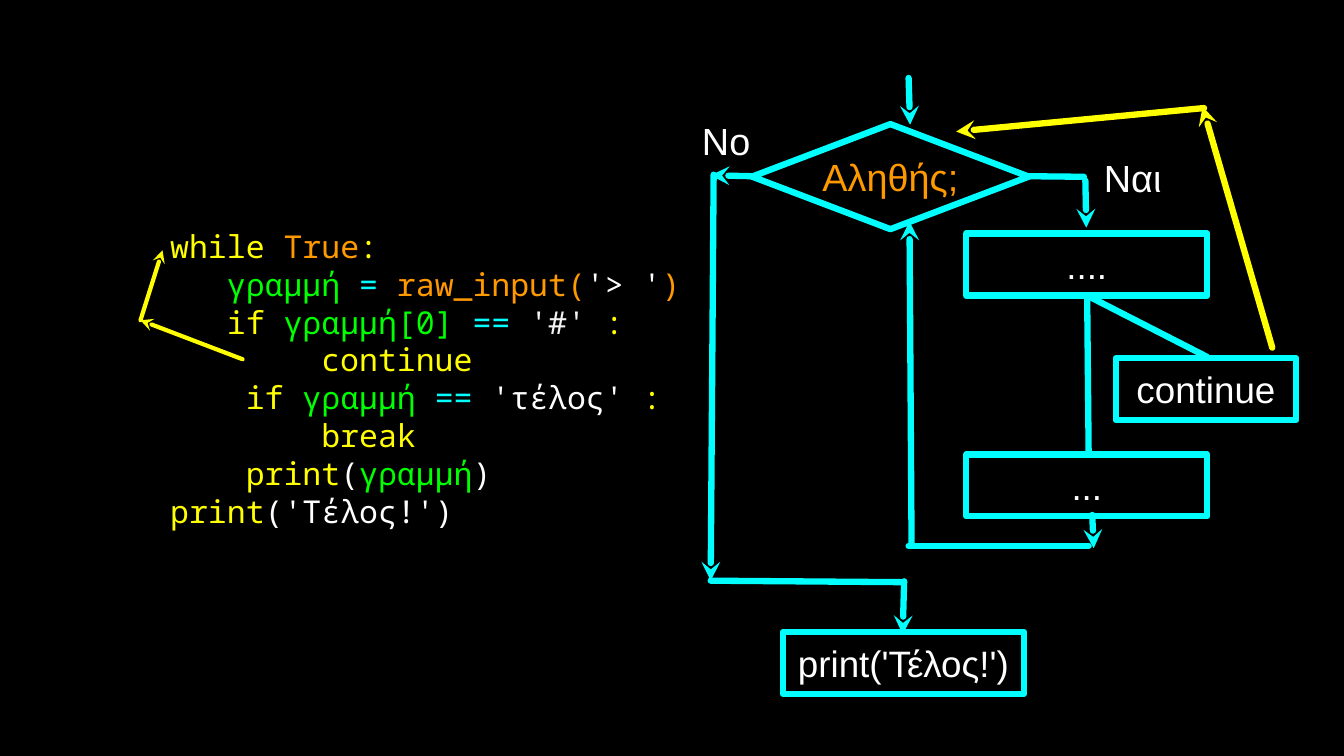
from dataclasses import dataclass

from lxml.etree import SubElement
from pptx import Presentation
from pptx.dml.color import RGBColor
from pptx.enum.shapes import MSO_CONNECTOR, MSO_SHAPE
from pptx.enum.text import MSO_ANCHOR, PP_ALIGN
from pptx.oxml.ns import qn
from pptx.util import Cm, Pt


@dataclass(frozen=True)
class Theme:
    """Colours, fonts and sizes of the slide."""
    background: str = "000000"
    flow: str = "00FFFF"
    jump: str = "FFFF00"
    keyword: str = "FFFF00"
    builtin: str = "FF9900"
    variable: str = "00FF00"
    operator: str = "00FFFF"
    plain: str = "FFFFFF"
    hash_mark: str = "F3F3F3"
    label_font: str = "Arial"
    code_font: str = "Noto Sans Mono"
    label_size: int = 36
    step_size: int = 35
    code_size: int = 30
    code_pitch: int = 36
    thick: int = 6
    thin: int = 4


@dataclass(frozen=True)
class Box:
    """A rectangle in centimetres."""
    left: float
    top: float
    width: float
    height: float

    def inner(self, left, top, width, height):
        """Return a box placed relative to this one."""
        return Box(self.left + left, self.top + top, width, height)

    def lengths(self):
        """Return the four lengths that a shape needs."""
        return [Cm(value) for value in (self.left, self.top, self.width, self.height)]


THEME = Theme()

CODE = [
    [("while ", THEME.keyword), ("True", THEME.builtin), (":", THEME.keyword)],
    [("   γραμμή ", THEME.variable), ("= ", THEME.operator), ("raw_input(", THEME.builtin),
     ("'> '", THEME.plain), (")", THEME.builtin)],
    [("   if ", THEME.keyword), ("γραμμή[0] ", THEME.variable), ("== ", THEME.operator),
     ("'#' ", THEME.hash_mark), (":", THEME.keyword)],
    [("        continue", THEME.keyword)],
    [("    if ", THEME.keyword), ("γραμμή ", THEME.variable), ("== ", THEME.operator),
     ("'τέλος' ", THEME.plain), (":", THEME.keyword)],
    [("        break", THEME.keyword)],
    [("    print", THEME.keyword), ("(", THEME.plain), ("γραμμή", THEME.variable),
     (")", THEME.plain)],
    [("print", THEME.keyword), ("('Τέλος!')", THEME.plain)],
]


def style_font(font, face, size, color):
    """Set face, size and colour of a font."""
    font.name = face
    font.size = Pt(size)
    font.color.rgb = RGBColor.from_string(color)


def style_line(shape, color, weight, arrow=False):
    """Draw a rounded line, with a stealth head at its end if asked."""
    shape.line.color.rgb = RGBColor.from_string(color)
    shape.line.width = Pt(weight)
    outline = shape._element.spPr.find(qn("a:ln"))
    outline.set("cap", "rnd")
    SubElement(outline, qn("a:round"))
    if arrow:
        SubElement(outline, qn("a:tailEnd"), type="stealth")


def add_path(slide, box, start, end, color, weight, arrow=False):
    """Connect two points given relative to the box."""
    ends = [Cm(value) for x, y in (start, end) for value in (box.left + x, box.top + y)]
    connector = slide.shapes.add_connector(MSO_CONNECTOR.STRAIGHT, *ends)
    style_line(connector, color, weight, arrow)
    SubElement(connector._element.spPr, qn("a:effectLst"))


def prepare_frame(frame, wrap):
    """Remove the margins and centre the text vertically."""
    frame.margin_left = frame.margin_right = frame.margin_top = frame.margin_bottom = 0
    frame.vertical_anchor = MSO_ANCHOR.MIDDLE
    frame.word_wrap = wrap


def write_centred(frame, text, size, color):
    """Write one centred line of label text."""
    prepare_frame(frame, False)
    frame.text = text
    paragraph = frame.paragraphs[0]
    paragraph.alignment = PP_ALIGN.CENTER
    style_font(paragraph.runs[0].font, THEME.label_font, size, color)


def add_step(slide, box, text, preset=MSO_SHAPE.RECTANGLE, size=THEME.step_size,
             color=THEME.plain):
    """Add one outlined step of the flowchart."""
    step = slide.shapes.add_shape(preset, *box.lengths())
    step.shadow.inherit = False
    step.fill.background()
    style_line(step, THEME.flow, THEME.thick)
    write_centred(step.text_frame, text, size, color)


def code_panel(slide, box):
    """Place the program and the arrows from continue back to while."""
    listing = slide.shapes.add_textbox(*box.inner(1, 0, box.width - 1, box.height).lengths())
    frame = listing.text_frame
    prepare_frame(frame, True)
    for number, tokens in enumerate(CODE):
        paragraph = frame.add_paragraph() if number else frame.paragraphs[0]
        paragraph.line_spacing = Pt(THEME.code_pitch)
        for text, color in tokens:
            run = paragraph.add_run()
            run.text = text
            style_font(run.font, THEME.code_font, THEME.code_size, color)
    from_continue, bend, to_while = (3.43, 5.52), (0, 4.21), (0.74, 1.86)
    for start, end in ((from_continue, bend), (bend, to_while)):
        add_path(slide, box, start, end, THEME.jump, THEME.thin, True)


def flowchart(slide, box):
    """Place the loop diagram with its steps, labels and paths."""
    step_width, step_height = 8.1, 2.08
    add_step(slide, box.inner(1.87, 1.57, 9.3, 3.53), "Αληθής;", MSO_SHAPE.DIAMOND,
             THEME.label_size, THEME.builtin)
    for left, top, width, text in (
        (9.07, 5.25, step_width, "...."),
        (14.09, 9.44, 6.07, "continue"),
        (9.07, 12.67, step_width, "..."),
        (2.91, 18.63, step_width, "print('Τέλος!')"),
    ):
        add_step(slide, box.inner(left, top, width, step_height), text)

    for left, top, width, text in ((0, 1.24, 2, "No"), (13.35, 2.48, 2.62, "Ναι")):
        label = slide.shapes.add_textbox(*box.inner(left, top, width, 1.73).lengths())
        write_centred(label.text_frame, text, THEME.label_size, THEME.plain)

    plain_paths = (
        ((11.14, 3.32), (13.02, 3.34)),
        ((13.13, 7.33), (13.18, 12.67)),
        ((13.13, 7.33), (17.16, 9.39)),
        ((13.18, 15.74), (7.13, 15.74)),
        ((0.48, 16.91), (6.98, 16.96)),
    )
    flow_arrows = (
        ((7.13, 0.02), (7.18, 1.59)),
        ((13.07, 3.47), (13.1, 5.05)),
        ((13.3, 14.7), (13.35, 15.82)),
        ((7.23, 15.74), (7.16, 4.84)),
        ((1.87, 3.32), (0.48, 3.29)),
        ((0.58, 3.27), (0.48, 16.91)),
        ((6.98, 16.93), (6.93, 18.71)),
    )
    jump_arrows = (
        ((19.35, 9.08), (17.01, 0.98)),
        ((17.06, 1.03), (8.73, 1.82)),
    )
    for paths, color, arrow in (
        (plain_paths, THEME.flow, False),
        (flow_arrows, THEME.flow, True),
        (jump_arrows, THEME.jump, True),
    ):
        for start, end in paths:
            add_path(slide, box, start, end, color, THEME.thick, arrow)


def main():
    """Build the slide and save it."""
    deck = Presentation()
    deck.slide_width, deck.slide_height = Cm(45.16), Cm(25.4)
    slide = deck.slides.add_slide(deck.slide_layouts[6])
    slide.background.fill.solid()
    slide.background.fill.fore_color.rgb = RGBColor.from_string(THEME.background)
    flowchart(slide, Box(23.4, 2.6, 20.16, 20.71))
    code_panel(slide, Box(4.72, 6.55, 18.48, 12.32))
    deck.save("out.pptx")


if __name__ == "__main__":
    main()
